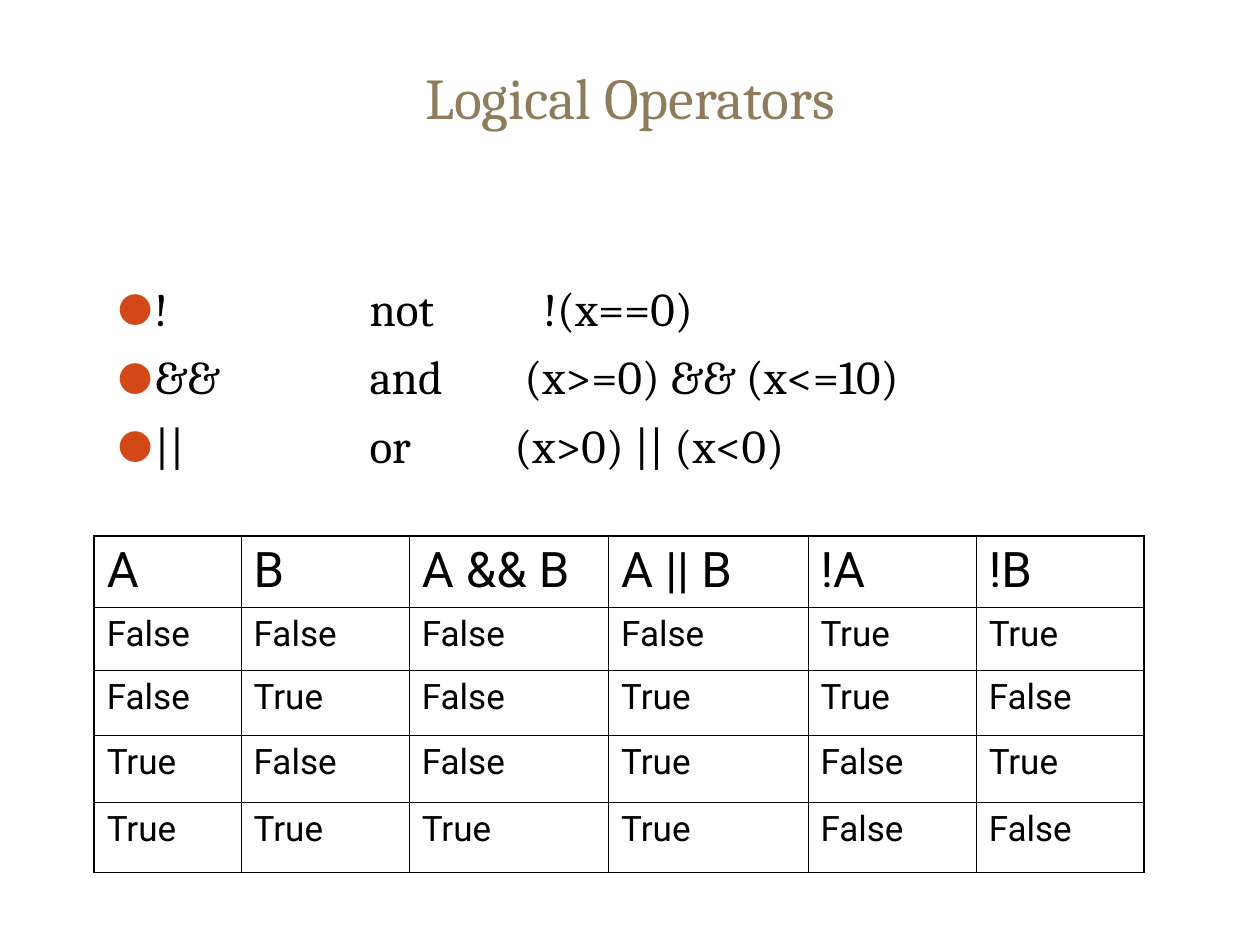
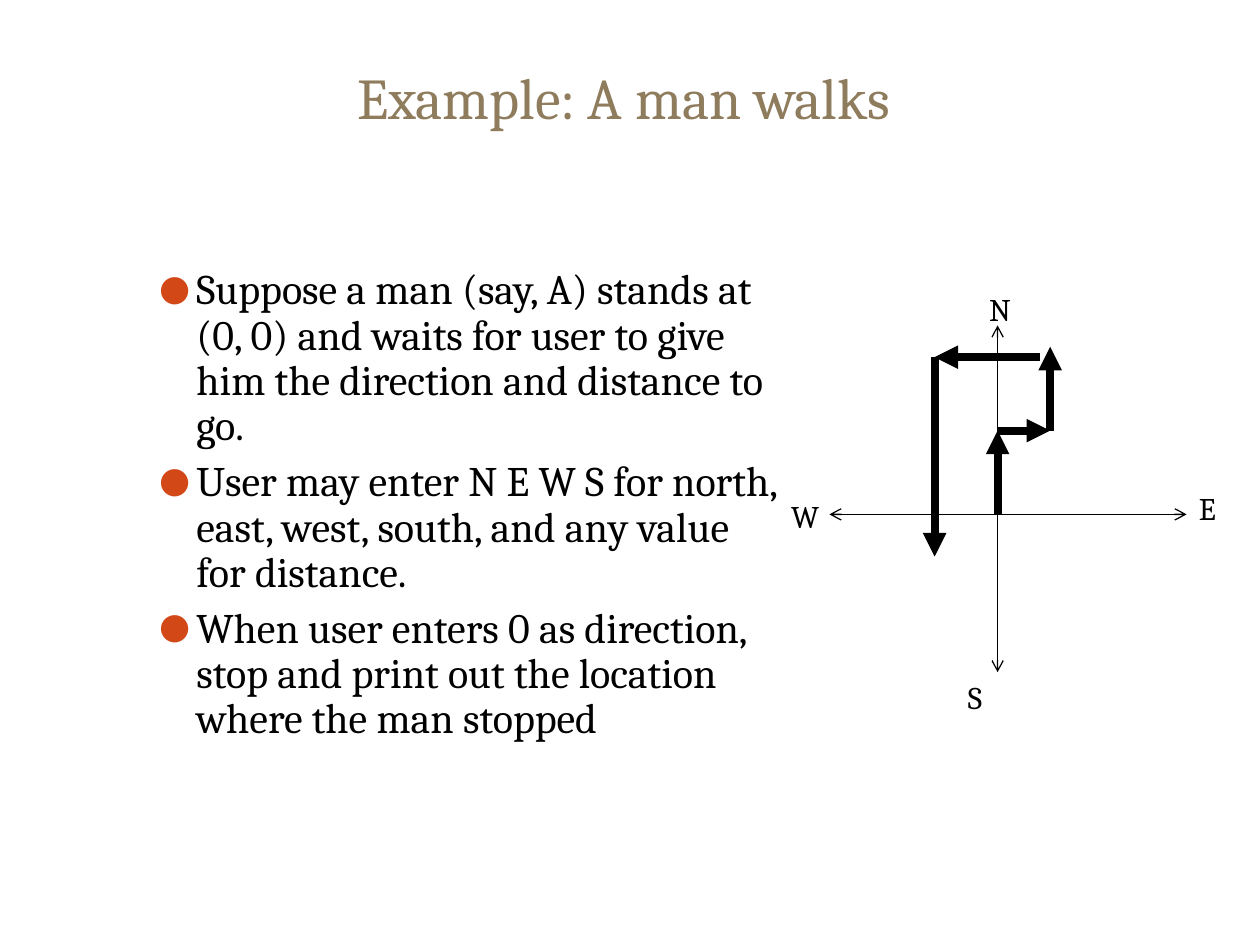
from dataclasses import dataclass

from lxml import etree
from pptx import Presentation
from pptx import util as u
from pptx.dml.color import RGBColor
from pptx.enum import shapes, text
from pptx.oxml.ns import qn


@dataclass(frozen=True)
class Theme:
    ink: str = "000000"
    title_colour: str = "8E7C5C"
    bullet_colour: str = "D34817"
    serif: str = "Cambria"
    sans: str = "Roboto"
    title_size: float = 33
    operator_size: float = 27
    story_size: float = 24
    label_size: float = 18
    header_size: float = 28
    value_size: float = 20
    axis_width: float = 0.75
    walk_width: float = 4.5
    grid_width: float = 0.45
    frame_width: float = 1.08


THEME = Theme()

OPERATORS = [
    ("!\tnot\t!(x==0)", 8.59),
    ("&&\tand\t(x>=0) && (x<=10)", 8.2),
    ("||\tor\t(x>0) || (x<0)", 8.0),
]
MEANING_TAB = 5.08

STORY = [
    "Suppose a man (say, A) stands at (0, 0) and waits for user to give him "
    "the direction and distance to go.",
    "User may enter N E W S for north, east, west, south, and any value for distance.",
    "When user enters 0 as direction, stop and print out the location where the man stopped",
]

TRUTH_HEADER = ["A", "B", "A && B", "A || B", "!A", "!B"]
TRUTH_COLUMNS = [2.96, 3.39, 4.02, 4.02, 3.39, 3.39]
TRUTH_ROWS = [1.45, 1.27, 1.31, 1.35, 1.41]

ORIGIN_X, ORIGIN_Y = 20.11, 10.37
AXES = [
    ((ORIGIN_X, 6.56), (ORIGIN_X, 13.55)),
    ((16.72, ORIGIN_Y), (23.92, ORIGIN_Y)),
]
COMPASS = [
    ("N", 19.69, 5.72, 2.12),
    ("E", 23.92, 9.74, 1.48),
    ("S", 19.26, 13.55, 2.12),
    ("W", 15.7, 9.9, 2.12),
]
TURN_Y, EAST_X, WEST_X, TOP_Y = 8.68, 21.17, 18.84, 7.2
WALK = [
    ((ORIGIN_X, ORIGIN_Y), (ORIGIN_X, TURN_Y)),
    ((ORIGIN_X, TURN_Y), (EAST_X, TURN_Y)),
    ((EAST_X, TURN_Y), (EAST_X, 6.99)),
    ((20.96, TOP_Y), (WEST_X, TOP_Y)),
    ((WEST_X, TOP_Y), (WEST_X, 11.22)),
]


def child(parent, tag, **attributes):
    return etree.SubElement(parent, qn(tag), {k: str(v) for k, v in attributes.items()})


def add_bullet(paragraph, indent):
    properties = paragraph._p.get_or_add_pPr()
    properties.set("marL", str(u.Cm(indent)))
    properties.set("indent", str(-u.Cm(indent)))
    child(child(properties, "a:buClr"), "a:srgbClr", val=THEME.bullet_colour)
    child(properties, "a:buSzPct", val=85000)
    child(properties, "a:buFont", typeface=THEME.serif)
    child(properties, "a:buChar", char="●")


def add_tabs(paragraph, stops):
    tab_list = child(paragraph._p.get_or_add_pPr(), "a:tabLst")
    for stop in stops:
        child(tab_list, "a:tab", pos=u.Cm(stop), algn="l")


def write(paragraph, words, *, size, colour=THEME.ink, font=THEME.serif,
          align=text.PP_ALIGN.LEFT, bullet=False, tabs=(), before=0, spacing=None):
    if bullet:
        add_bullet(paragraph, 0.75)
    if tabs:
        add_tabs(paragraph, tabs)
    paragraph.alignment = align
    if before:
        paragraph.space_before = u.Pt(before)
    if spacing:
        paragraph.line_spacing = spacing
    run = paragraph.add_run()
    run.text = words
    run.font.name = font
    run.font.size = u.Pt(size)
    run.font.color.rgb = RGBColor.from_string(colour)


def add_frame(parent, left, top, width, height, anchor=text.MSO_ANCHOR.TOP):
    frame = parent.shapes.add_textbox(*map(u.Cm, (left, top, width, height))).text_frame
    frame.word_wrap = True
    frame.vertical_anchor = anchor
    return frame


def add_title(slide, words):
    frame = add_frame(slide, 0.85, 0.64, 23.7, 2.12, text.MSO_ANCHOR.BOTTOM)
    write(frame.paragraphs[0], words, size=THEME.title_size,
          colour=THEME.title_colour, align=text.PP_ALIGN.CENTER)


def add_bullets(slide, place, items, *, before, **style):
    frame = add_frame(slide, *place)
    for index, (words, tabs) in enumerate(items):
        paragraph = frame.add_paragraph() if index else frame.paragraphs[0]
        write(paragraph, words, bullet=True, tabs=tabs,
              before=before if index else 0, **style)


def add_arrow(parent, start, end, width, **heads):
    arrow = parent.shapes.add_connector(
        shapes.MSO_CONNECTOR.STRAIGHT, *map(u.Cm, (*start, *end)))
    arrow.line.width = u.Pt(width)
    arrow.line.color.rgb = RGBColor.from_string(THEME.ink)
    outline = arrow.line._get_or_add_ln()
    for side, kind in heads.items():
        child(outline, f"a:{side}End", type=kind)
    child(arrow._element.spPr, "a:effectLst")


def set_borders(cell, widths):
    properties = cell._tc.get_or_add_tcPr()
    for side, width in widths.items():
        line = child(properties, f"a:ln{side}", w=u.Pt(width))
        child(child(line, "a:solidFill"), "a:srgbClr", val=THEME.ink)


def add_truth_table(slide, left, top):
    booleans = [(a, b) for a in (False, True) for b in (False, True)]
    values = [(a, b, a and b, a or b, not a, not b) for a, b in booleans]
    rows = [TRUTH_HEADER] + [[str(value) for value in row] for row in values]
    last_row, last_column = len(rows) - 1, len(TRUTH_HEADER) - 1
    table = slide.shapes.add_table(
        len(rows), len(TRUTH_HEADER), u.Cm(left), u.Cm(top),
        u.Cm(sum(TRUTH_COLUMNS)), u.Cm(sum(TRUTH_ROWS))).table
    table.first_row = table.horz_banding = False
    for column, width in zip(table.columns, TRUTH_COLUMNS):
        column.width = u.Cm(width)
    for row, height in zip(table.rows, TRUTH_ROWS):
        row.height = u.Cm(height)
    for r, row in enumerate(rows):
        for c, words in enumerate(row):
            cell = table.cell(r, c)
            outer = {"L": c == 0, "R": c == last_column, "T": r == 0, "B": r == last_row}
            set_borders(cell, {side: THEME.frame_width if edge else THEME.grid_width
                               for side, edge in outer.items()})
            cell.fill.background()
            write(cell.text_frame.paragraphs[0], words, font=THEME.sans,
                  size=THEME.value_size if r else THEME.header_size)


def add_compass(slide):
    compass = slide.shapes.add_group_shape()
    for start, end in AXES:
        add_arrow(compass, start, end, THEME.axis_width, head="arrow", tail="arrow")
    for direction, left, top, width in COMPASS:
        label = add_frame(compass, left, top, width, 1.02)
        write(label.paragraphs[0], direction, size=THEME.label_size)


def build_operators(slide):
    add_title(slide, "Logical Operators")
    items = [(words, (MEANING_TAB, example_tab)) for words, example_tab in OPERATORS]
    add_bullets(slide, (2.12, 5.5, 21.59, 11.64), items,
                size=THEME.operator_size, before=6.8)
    add_truth_table(slide, 1.9, 10.8)


def build_walk(slide):
    add_title(slide, "Example: A man walks ")
    add_bullets(slide, (2.96, 5.29, 13.12, 12.7), [(words, ()) for words in STORY],
                size=THEME.story_size, before=6, spacing=0.9)
    add_compass(slide)
    for start, end in WALK:
        add_arrow(slide, start, end, THEME.walk_width, tail="triangle")


def main():
    deck = Presentation()
    deck.slide_width, deck.slide_height = u.Cm(25.4), u.Cm(19.05)
    blank = deck.slide_layouts[6]
    for build in (build_operators, build_walk):
        build(deck.slides.add_slide(blank))
    deck.save("out.pptx")


if __name__ == "__main__":
    main()
